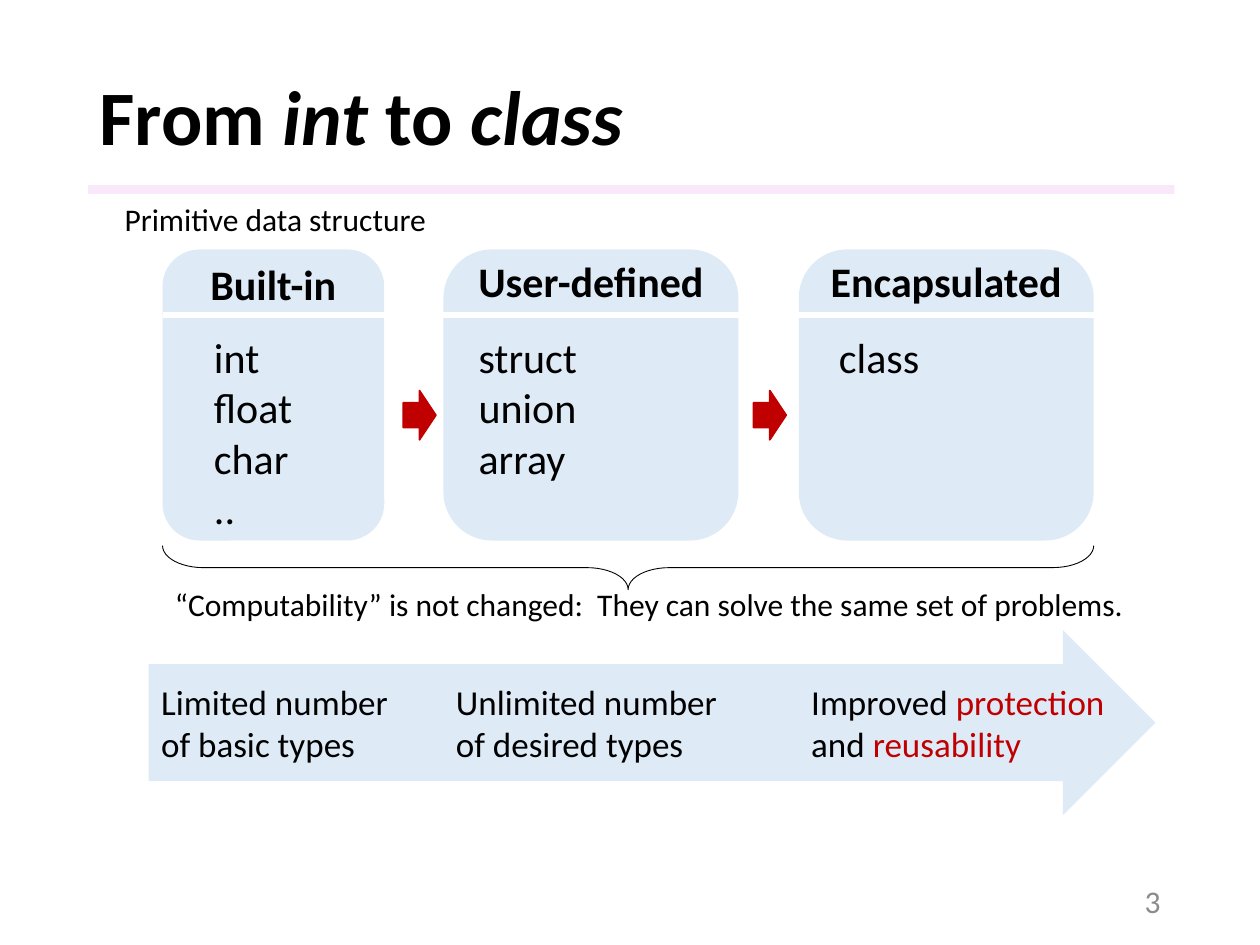
from lxml.etree import SubElement
from pptx import Presentation
from pptx.dml.color import RGBColor
from pptx.enum.shapes import MSO_CONNECTOR, MSO_SHAPE as Shape
from pptx.enum.text import MSO_ANCHOR as Anchor, MSO_AUTO_SIZE as AutoSize, PP_ALIGN as Align
from pptx.oxml.ns import qn
from pptx.util import Inches, Pt

COLORS = {"text": "000000", "panel": "DEEBF7", "accent": "C00000",
          "rule": "F3D2F4", "divider": "FFFFFF", "number": "8C8C8C"}
FONT = "Calibri"
PANEL_TOP, PANEL_HEIGHT = 1.98, 2.31
STAGES = [
    {"left": 1.29, "width": 1.76, "heading": "Built-in", "heading_top": 2,
     "types": ["int", "float", "char", ".."], "types_box": (1.6, 2.58, 0.83, 1.72),
     "benefit": [("Limited number of basic types", "text")],
     "benefit_box": (1.18, 5.35, 2.12, 0.77)},
    {"left": 3.52, "width": 2.34, "heading": "User-defined", "heading_top": PANEL_TOP,
     "types": ["struct", "union", "array"], "types_box": (3.7, 2.58, 1.03, 1.72),
     "benefit": [("Unlimited number of desired types", "text")],
     "benefit_box": (3.52, 5.35, 2.43, 0.77)},
    {"left": 6.34, "width": 2.34, "heading": "Encapsulated", "heading_top": PANEL_TOP,
     "types": ["class"], "types_box": (6.56, 2.58, 0.85, 0.91),
     "benefit": [("Improved ", "text"), ("protection ", "accent"),
                 ("and ", "text"), ("reusability", "accent")],
     "benefit_box": (6.34, 5.35, 2.63, 0.77)},
]


def rgb(name):
    """Return the named colour."""
    return RGBColor.from_string(COLORS[name])


def style(font, size, color="text", bold=False):
    """Format a font."""
    font.name, font.size, font.bold = FONT, Pt(size), bold
    font.color.rgb = rgb(color)


def add_figure(slide, kind, box, fill=None, line=None, line_width=1, rotation=0, adjust=()):
    """Add a preset shape with optional fill, outline and adjustments."""
    figure = slide.shapes.add_shape(kind, *map(Inches, box))
    figure.shadow.inherit = False
    figure.rotation = rotation
    for index, value in enumerate(adjust):
        figure.adjustments[index] = value
    if fill:
        figure.fill.solid()
        figure.fill.fore_color.rgb = rgb(fill)
    else:
        figure.fill.background()
    if line:
        figure.line.color.rgb = rgb(line)
        figure.line.width = Pt(line_width)
    else:
        figure.line.fill.background()
    return figure


def add_text(slide, lines, box, size, color="text", bold=False, align=Align.LEFT,
             wrap=True, anchor=Anchor.TOP):
    """Add a text box with one paragraph per line and return its frame."""
    frame = slide.shapes.add_textbox(*map(Inches, box)).text_frame
    frame.word_wrap = wrap
    frame.auto_size = AutoSize.SHAPE_TO_FIT_TEXT
    frame.vertical_anchor = anchor
    frame.text = "\n".join(lines)
    for paragraph in frame.paragraphs:
        paragraph.alignment = align
        style(paragraph.font, size, color, bold)
    return frame


def add_title(slide):
    """Place and format the title with its keywords in italics."""
    title = slide.shapes.title
    title.left, title.top, title.width, title.height = map(Inches, (0.69, 0.4, 8.62, 1.11))
    frame = title.text_frame
    frame.vertical_anchor = Anchor.MIDDLE
    frame.auto_size = AutoSize.NONE
    paragraph = frame.paragraphs[0]
    paragraph.alignment = Align.LEFT
    paragraph.line_spacing = 0.9
    style(paragraph.font, 44, bold=True)
    for text, italic in (("From ", False), ("int", True), (" to ", False), ("class", True)):
        run = paragraph.add_run()
        run.text, run.font.italic = text, italic


def add_title_rule(slide):
    """Add the half-transparent bar below the title."""
    rule = add_figure(slide, Shape.RECTANGLE, (0.7, 1.47, 8.62, 0.07), "rule")
    rule_color = rule.fill._xPr.find(qn("a:solidFill"))[0]
    SubElement(rule_color, qn("a:alpha")).set("val", "50000")


def add_stage(slide, stage):
    """Add a panel with its heading and list of types."""
    left, width = stage["left"], stage["width"]
    add_figure(slide, Shape.ROUNDED_RECTANGLE, (left, PANEL_TOP, width, PANEL_HEIGHT), "panel")
    add_text(slide, [stage["heading"]], (left, stage["heading_top"], width, 0.5), 24,
             bold=True, align=Align.CENTER)
    add_text(slide, stage["types"], stage["types_box"], 24, wrap=False)


def add_divider(slide):
    """Add the white line that parts headings from types."""
    divider = slide.shapes.add_connector(
        MSO_CONNECTOR.STRAIGHT, *map(Inches, (1.29, 2.5, 8.76, 2.5)))
    divider.line.color.rgb = rgb("divider")
    divider.line.width = Pt(3)
    SubElement(divider._element.spPr, qn("a:effectLst"))


def add_benefit(slide, stage):
    """Add a stage's benefit with its highlighted words."""
    frame = add_text(slide, [""], stage["benefit_box"], 20)
    for text, color in stage["benefit"]:
        run = frame.paragraphs[0].add_run()
        run.text = text
        run.font.color.rgb = rgb(color)


def main():
    """Build and save the slide."""
    deck = Presentation()
    deck.slide_width, deck.slide_height = Inches(10), Inches(7.5)
    slide = deck.slides.add_slide(deck.slide_layouts[5])
    add_title_rule(slide)
    add_title(slide)
    for stage in STAGES:
        add_stage(slide, stage)
    for left in (3.2, 5.98):
        add_figure(slide, Shape.RIGHT_ARROW, (left, 3.1, 0.26, 0.39), "accent", "accent")
    add_divider(slide)
    add_figure(slide, Shape.DOWN_ARROW, (4.44, 1.74, 1.47, 7.99), "panel",
               rotation=270, adjust=(0.633, 0.5))
    for stage in STAGES:
        add_benefit(slide, stage)
    add_figure(slide, Shape.LEFT_BRACE, (4.81, 0.81, 0.35, 7.39), line="text",
               line_width=0.5, rotation=270, adjust=(0.929, 0.5))
    add_text(slide, ["“Computability” is not changed:  They can solve the same set of problems."],
             (1.29, 4.59, 7.82, 0.4), 18, wrap=False)
    add_text(slide, ["Primitive data structure"], (0.89, 1.54, 2.62, 0.4), 18, wrap=False)
    add_text(slide, ["3"], (7.06, 6.95, 2.25, 0.4), 18, "number",
             align=Align.RIGHT, anchor=Anchor.MIDDLE)
    deck.save("out.pptx")


if __name__ == "__main__":
    main()
